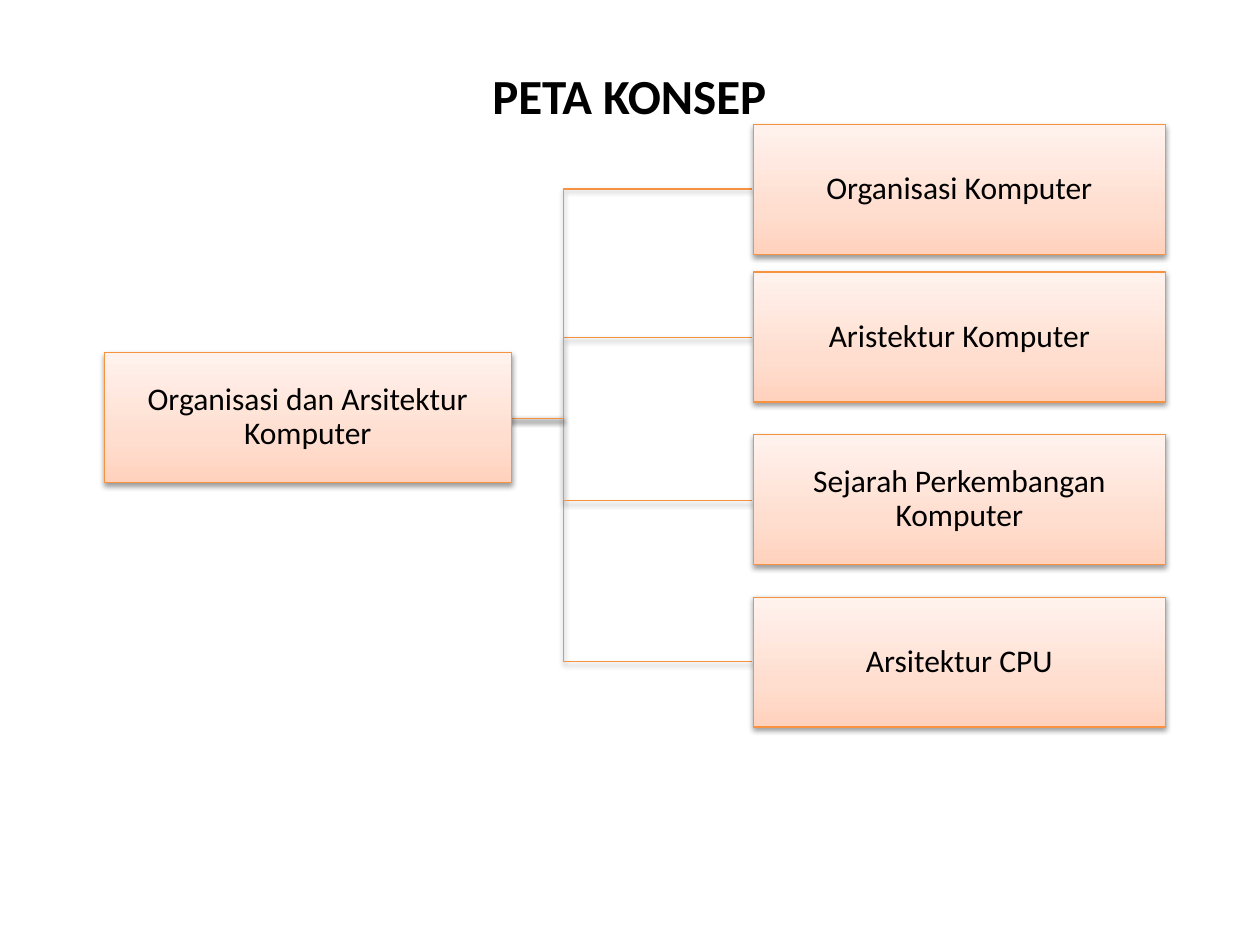
import pptx
import pptx.util
import pptx.dml.color
import pptx.enum.shapes
import pptx.enum.text
import pptx.oxml
import pptx.oxml.ns

Pt = pptx.util.Pt
RGBColor = pptx.dml.color.RGBColor

TITLE = "PETA KONSEP"
ROOT = "Organisasi dan Arsitektur Komputer"
BRANCHES = [  # label, top of its box
    ("Organisasi Komputer", 71.3),
    ("Aristektur Komputer", 155.5),
    ("Sejarah Perkembangan Komputer", 248.4),
    ("Arsitektur CPU", 341.3),
]

FONT = "Calibri"
BLACK = RGBColor(0x00, 0x00, 0x00)
ORANGE = RGBColor(0xF6, 0x92, 0x40)
GRADIENT = [  # percent from the bottom, colour
    (0, RGBColor(0xFF, 0xD2, 0xBD)),
    (35, RGBColor(0xFF, 0xDE, 0xD0)),
    (100, RGBColor(0xFF, 0xF2, 0xED)),
]

BOX_H = 74.2
ROOT_X, ROOT_Y, ROOT_W = 59.6, 201.6, 232.6
BRANCH_X, BRANCH_W = 430.4, 235.6
LINK_X = 213.1
NS = pptx.oxml.ns.nsdecls("a")


def add_outline_and_shadow(sp):
    sp.line.color.rgb = ORANGE
    sp.line.width = Pt(0.75)
    sp._element.spPr.append(pptx.oxml.parse_xml(
        f'<a:effectLst {NS}><a:outerShdw blurRad="{Pt(3.1)}" dist="{Pt(1.6)}" '
        'dir="5400000" rotWithShape="0"><a:srgbClr val="000000">'
        '<a:alpha val="38000"/></a:srgbClr></a:outerShdw></a:effectLst>'))


def fill_gradient(sp):
    sp.fill.background()
    stops = "".join(f'<a:gs pos="{pos * 1000}"><a:srgbClr val="{color}"/></a:gs>'
                    for pos, color in GRADIENT)
    grad = pptx.oxml.parse_xml(f'<a:gradFill {NS} rotWithShape="1"><a:gsLst>{stops}'
                               '</a:gsLst><a:lin ang="16200000" scaled="0"/></a:gradFill>')
    spPr = sp._element.spPr
    spPr.replace(spPr.find(pptx.oxml.ns.qn("a:noFill")), grad)


def set_text(sp, text, size, bold=False):
    tf = sp.text_frame
    tf.word_wrap = True
    tf.text = text
    p = tf.paragraphs[0]
    p.alignment = pptx.enum.text.PP_ALIGN.CENTER
    font = p.runs[0].font
    font.name, font.size, font.bold = FONT, Pt(size), bold
    font.color.rgb = BLACK


def add_box(s, text, x, y, w):
    sp = s.shapes.add_shape(pptx.enum.shapes.MSO_SHAPE.RECTANGLE,
                            Pt(x), Pt(y), Pt(w), Pt(BOX_H))
    fill_gradient(sp)
    add_outline_and_shadow(sp)
    set_text(sp, text, 18)
    tf = sp.text_frame
    tf.vertical_anchor = pptx.enum.text.MSO_ANCHOR.MIDDLE
    tf.margin_left = tf.margin_right = tf.margin_top = tf.margin_bottom = Pt(0.9)
    tf.paragraphs[0].line_spacing = 0.9


def add_link(s, y1, y2):
    """Elbow that starts behind the root box and ends at a branch box."""
    mid_x = (LINK_X + BRANCH_X) / 2
    builder = s.shapes.build_freeform(LINK_X, y1, scale=Pt(1))
    builder.add_line_segments([(mid_x, y1), (mid_x, y2), (BRANCH_X, y2)], close=False)
    sp = builder.convert_to_shape()
    sp.fill.background()
    add_outline_and_shadow(sp)


def main():
    prs = pptx.Presentation()
    prs.slide_width, prs.slide_height = Pt(720), Pt(540)
    s = prs.slides.add_slide(prs.slide_layouts[6])

    for _, y in reversed(BRANCHES):
        add_link(s, ROOT_Y + BOX_H / 2, y + BOX_H / 2)
    add_box(s, ROOT, ROOT_X, ROOT_Y, ROOT_W)
    for label, y in BRANCHES:
        add_box(s, label, BRANCH_X, y, BRANCH_W)

    title = s.shapes.add_textbox(Pt(84.2), Pt(33.8), Pt(550.8), Pt(41))
    set_text(title, TITLE, 28, bold=True)

    prs.save("out.pptx")


if __name__ == "__main__":
    main()
